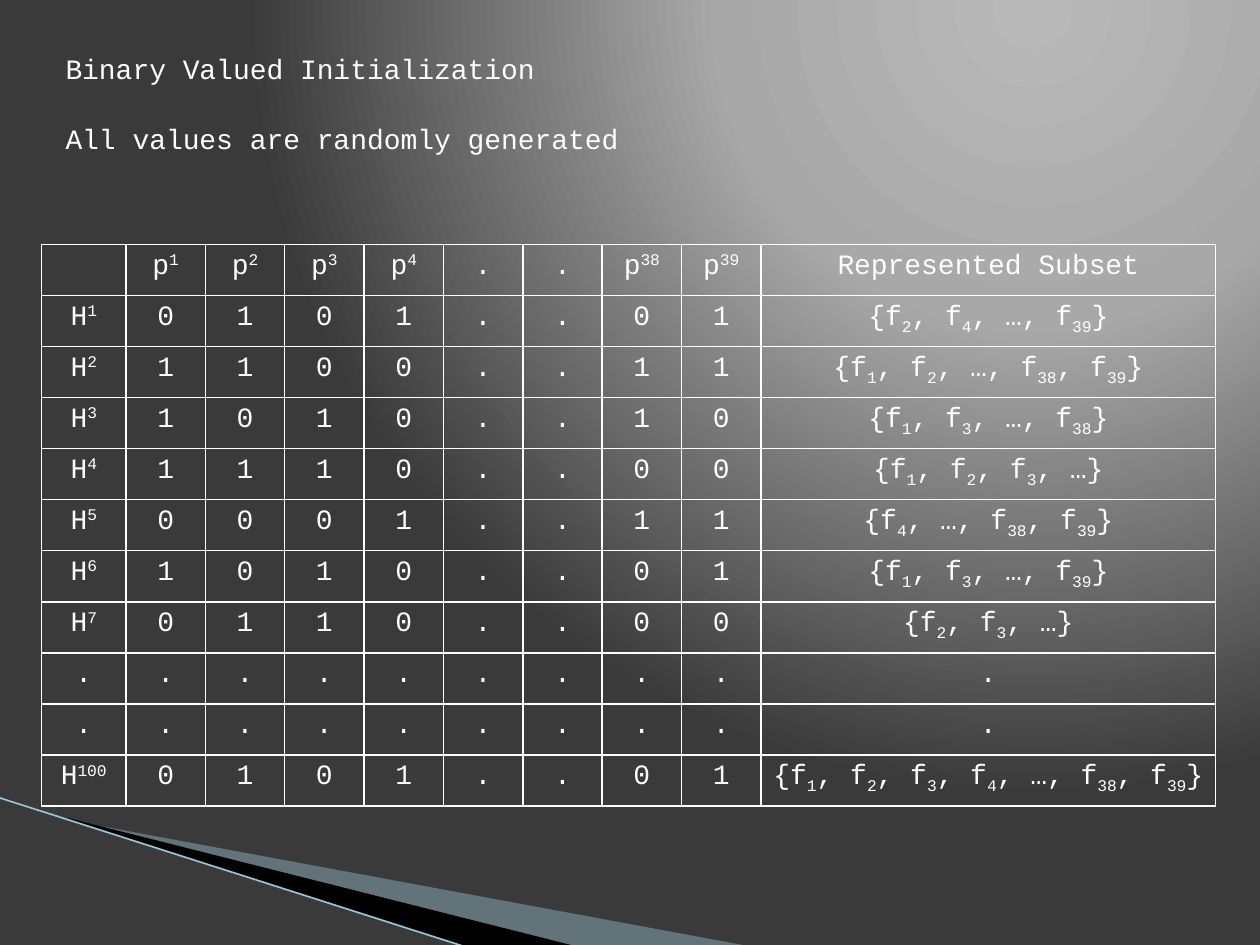
from pptx import Presentation
from pptx.dml.color import RGBColor
from pptx.enum.shapes import MSO_CONNECTOR
from pptx.enum.text import MSO_ANCHOR, MSO_AUTO_SIZE, PP_ALIGN
from pptx.oxml import parse_xml
from pptx.oxml.ns import nsdecls
from pptx.util import Inches, Pt

W, H = 10, 7.5
FONT, SIZE, WHITE = "Courier New", 16, "FFFFFF"
TITLE = ["Binary Valued Initialization", "All values are randomly generated"]
HEADER = ["", "p^1", "p^2", "p^3", "p^4", ".", ".", "p^38", "p^39", "Represented Subset"]
ROWS = [
    ("H^1", "0101..01", "{f_2_, f_4_, …, f_39_}"),
    ("H^2", "1100..11", "{f_1_, f_2_, …, f_38_, f_39_}"),
    ("H^3", "1010..10", "{f_1_, f_3_, …, f_38_}"),
    ("H^4", "1110..00", "{f_1_, f_2_, f_3_, …}"),
    ("H^5", "0001..11", "{f_4_, …, f_38_, f_39_}"),
    ("H^6", "1010..01", "{f_1_, f_3_, …, f_39_}"),
    ("H^7", "0110..00", "{f_2_, f_3_, …}"),
    (".", "........", "."),
    (".", "........", "."),
    ("H^100", "0101..01", "{f_1_, f_2_, f_3_, f_4_, …, f_38_, f_39_}"),
]
COLS = [0.67] + [0.63] * 8 + [3.61]
TABLE_LEFT, TABLE_TOP, TABLE_HEIGHT = 0.33, 1.94, 4.46
STOPS = [(0, "B9B9B9"), (40, "A8A8A8"), (100, "3A3A3A")]
WEDGES = [
    ("A0CBDC", 40, [(0.55, 6.51), (5.95, 7.51), (4.56, 7.51), (0.55, 6.5)]),
    ("000000", 100, [(0.53, 6.49), (4.57, 7.51), (3.72, 7.52), (0.54, 6.5)]),
]
EDGE = [(-0.01, 6.33), (3.71, 7.52)]


def rgb(value):
    """Return a colour from a hex string."""
    return RGBColor.from_string(value)


def style(font):
    """Apply the slide's typeface, size and colour."""
    font.name, font.size, font.color.rgb = FONT, Pt(SIZE), rgb(WHITE)


def add_background(s):
    """Fill the slide with a circular gradient centred at the upper right."""
    s.background.fill.solid()
    stops = "".join(f'<a:gs pos="{pos * 1000}"><a:srgbClr val="{c}"/></a:gs>' for pos, c in STOPS)
    grad = parse_xml(
        f'<a:gradFill {nsdecls("a")} rotWithShape="1"><a:gsLst>{stops}</a:gsLst>'
        '<a:path path="circle"><a:fillToRect l="65000" t="0" r="0" b="98000"/></a:path></a:gradFill>')
    bg_pr = s.background._cSld.bg.bgPr
    bg_pr.replace(bg_pr[0], grad)


def add_wedge(s, color, alpha, points):
    """Draw one filled wedge at the slide's foot."""
    grid = [(round(x * 100), round(y * 100)) for x, y in points]
    fb = s.shapes.build_freeform(*grid[0], scale=Inches(0.01))
    fb.add_line_segments(grid[1:], close=True)
    sp = fb.convert_to_shape()
    sp.shadow.inherit = False
    sp.line.fill.background()
    sp.fill.solid()
    sp.fill.fore_color.rgb = rgb(color)
    if alpha < 100:
        clr = sp._element.spPr.find(".//{*}srgbClr")
        clr.append(parse_xml(f'<a:alpha {nsdecls("a")} val="{alpha * 1000}"/>'))


def add_edge(s):
    """Draw the thin diagonal line beside the wedges."""
    (x1, y1), (x2, y2) = EDGE
    line = s.shapes.add_connector(MSO_CONNECTOR.STRAIGHT, Inches(x1), Inches(y1), Inches(x2), Inches(y2))
    line.line.color.rgb, line.line.width = rgb("97C5D8"), Pt(0.95)
    line._element.spPr.append(parse_xml(f'<a:effectLst {nsdecls("a")}/>'))


def fill_cell(cell, text):
    """Write a cell, raising parts set off by ^ and lowering parts set off by _."""
    cell.margin_left = cell.margin_right = Inches(0.05)
    tc_pr = cell._tc.get_or_add_tcPr()
    for side in "LRTB":
        tc_pr.append(parse_xml(
            f'<a:ln{side} {nsdecls("a")} w="12700"><a:solidFill><a:srgbClr val="{WHITE}"/>'
            f'</a:solidFill></a:ln{side}>'))
    cell.fill.background()
    p = cell.text_frame.paragraphs[0]
    p.alignment = PP_ALIGN.CENTER
    if not text:
        style(p.font)
        return
    mark, base = ("^", "30000") if "^" in text else ("_", "-25000")
    for i, part in enumerate(text.split(mark)):
        r = p.add_run()
        r.text = part
        style(r.font)
        if i % 2:
            r._r.get_or_add_rPr().set("baseline", base)


def add_table(s):
    """Build the table of individuals and their subsets."""
    grid = [HEADER] + [[name, *bits, subset] for name, bits, subset in ROWS]
    table = s.shapes.add_table(len(grid), len(COLS), Inches(TABLE_LEFT), Inches(TABLE_TOP),
                               Inches(sum(COLS)), Inches(TABLE_HEIGHT)).table
    table.first_row = table.horz_banding = False
    for col, width in zip(table.columns, COLS):
        col.width = Inches(width)
    for row, texts in zip(table.rows, grid):
        row.height = Inches(TABLE_HEIGHT / len(grid))
        for cell, text in zip(row.cells, texts):
            fill_cell(cell, text)


def add_title(s):
    """Place the heading and its remark in the title placeholder."""
    sp = s.shapes.title
    sp.left, sp.top, sp.width, sp.height = Inches(0.42), Inches(0.36), Inches(9.06), Inches(0.91)
    tf = sp.text_frame
    tf.text = "\n".join(TITLE)
    tf.word_wrap, tf.auto_size = True, MSO_AUTO_SIZE.SHAPE_TO_FIT_TEXT
    tf.vertical_anchor = MSO_ANCHOR.TOP
    for p in tf.paragraphs:
        p.alignment = PP_ALIGN.LEFT
        style(p.runs[0].font)
    tf.paragraphs[1].space_before = Pt(20.5)


def main():
    """Build and save the slide."""
    prs = Presentation()
    prs.slide_width, prs.slide_height = Inches(W), Inches(H)
    s = prs.slides.add_slide(prs.slide_layouts[5])
    add_background(s)
    for wedge in WEDGES:
        add_wedge(s, *wedge)
    add_edge(s)
    add_table(s)
    add_title(s)
    prs.save("out.pptx")


if __name__ == "__main__":
    main()
